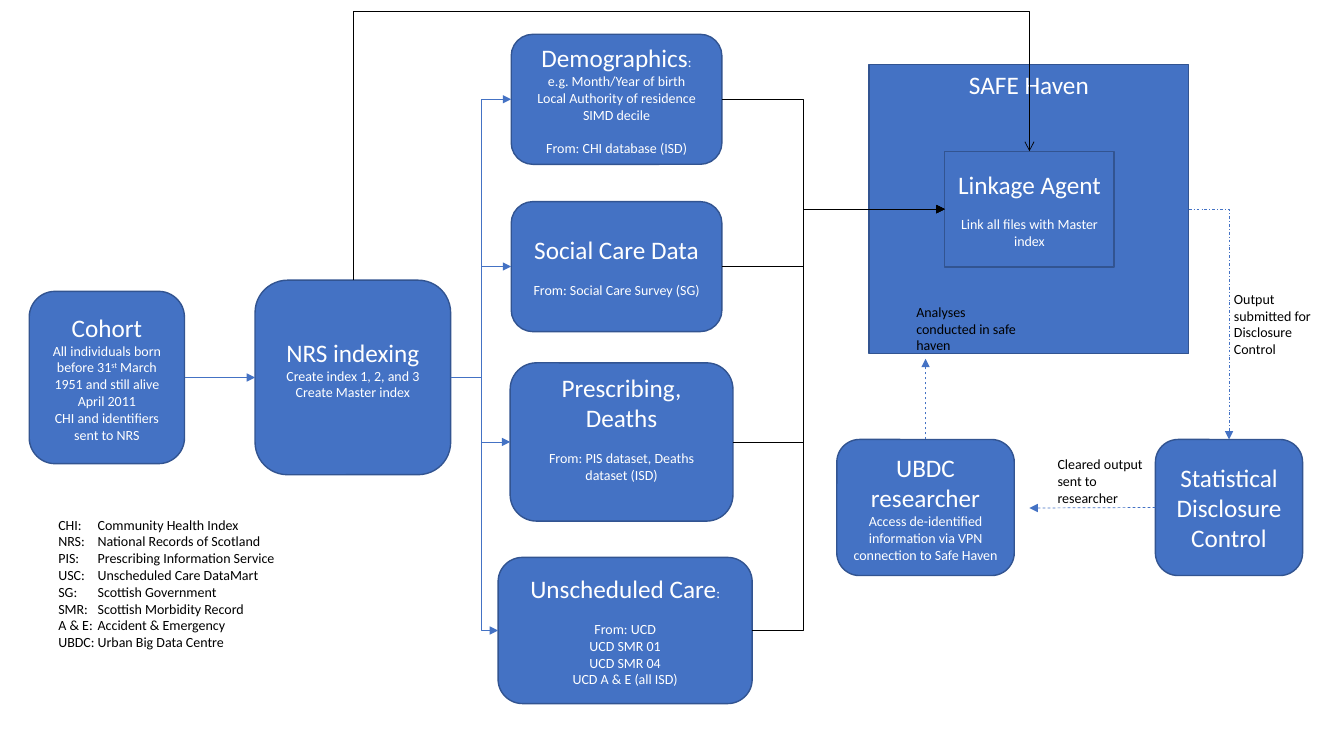
import pptx
import pptx.util
import pptx.dml.color
import pptx.enum.dml
import pptx.enum.shapes
import pptx.enum.text
import pptx.oxml
import pptx.oxml.ns
import lxml.etree

PX = 9144  # EMU per px, 100 px to the inch
FONT = "Calibri"
COLORS = {"box": "4472C4", "edge": "325491", "flow": "4472C4",
          "black": "000000", "white": "FFFFFF"}
TITLE, BODY, GAP = 18, 10, 12
MIDDLE = (5, 5)  # top and bottom text margins

# Content: name, preset, (left, top, width, height), margins, titles, suffix, body
# A body entry is (gap before, text); ^ marks the ends of a superscript.
BOXES = [
    ("cohort", "round", (29, 289, 154, 171), MIDDLE, ["Cohort"], "",
     [(0, "All individuals born before 31^st^ March 1951 and still alive April 2011"),
      (0, "CHI and identifiers sent to NRS")]),
    ("indexing", "round", (253, 278, 194, 193), (5, 22), ["NRS indexing"], "",
     [(0, "Create index 1, 2, and 3"), (0, "Create Master index")]),
    ("demographics", "round", (507, 34, 209, 129), MIDDLE, ["Demographics"], ":",
     [(0, "e.g. Month/Year of birth"), (0, "Local Authority of residence"),
      (0, "SIMD decile"), (GAP, "From: CHI database (ISD)")]),
    ("social", "round", (507, 200, 209, 129), MIDDLE, ["Social Care Data"], "",
     [(GAP, "From: Social Care Survey (SG)")]),
    ("prescribing", "round", (506, 360, 221, 157), (0, 28), ["Prescribing,", "Deaths"], "",
     [(GAP, "From: PIS dataset, Deaths dataset (ISD)")]),
    ("unscheduled", "round", (494, 553, 252, 145), MIDDLE, ["Unscheduled Care"], ":",
     [(GAP, "From: UCD"), (0, "UCD SMR 01"), (0, "UCD SMR 04"),
      (0, "UCD A & E (all ISD)")]),
    ("haven", "top", (862, 64, 317, 287), MIDDLE, ["SAFE Haven"], "", []),
    ("control", "round", (1146, 436, 146, 135), MIDDLE,
     ["Statistical Disclosure Control"], "", []),
    ("researcher", "round", (830, 436, 176, 135), MIDDLE, ["UBDC researcher"], "",
     [(0, "Access de-identified information via VPN connection to Safe Haven")]),
    ("linkage", "rect", (937, 150, 168, 115), MIDDLE, ["Linkage Agent"], "",
     [(GAP, "Link all files with Master index")]),
]
DATASETS = ["demographics", "social", "prescribing", "unscheduled"]
LABELS = [
    ((1214, 283, 105, 77), ["Output submitted for Disclosure Control"]),
    ((1039, 447, 108, 61), ["Cleared output sent to researcher"]),
    ((899, 296, 120, 61), ["Analyses conducted in safe haven"]),
]
LEGEND_AREA, LEGEND_TAB = (48, 507, 348, 145), 39
LEGEND = [
    ("CHI:", "Community Health Index"),
    ("NRS:", "National Records of Scotland"),
    ("PIS:", "Prescribing Information Service"),
    ("USC:", "Unscheduled Care DataMart"),
    ("SG:", "Scottish Government"),
    ("SMR:", "Scottish Morbidity Record"),
    ("A & E:", "Accident & Emergency"),
    ("UBDC:", "Urban Big Data Centre"),
]
SPLIT_X, MERGE_X, OVER_Y = 477, 797, 11

deck = pptx.Presentation()
deck.slide_width, deck.slide_height = 1333 * PX, 750 * PX
page = deck.slides.add_slide(deck.slide_layouts[6])
AREAS = {box[0]: box[2] for box in BOXES}


def emu(lengths):
    return [round(length * PX) for length in lengths]


def rgb(name):
    return pptx.dml.color.RGBColor.from_string(COLORS[name])


def side(name, where):
    """Middle point of one side of a box."""
    left, top, width, height = AREAS[name]
    return {"left": (left, top + height / 2), "right": (left + width, top + height / 2),
            "top": (left + width / 2, top)}[where]


def add_span(para, text, size, color):
    span = para.add_run()
    span.text = text
    span.font.name, span.font.size = FONT, pptx.util.Pt(size)
    span.font.color.rgb = rgb(color)
    return span


def add_box(preset, area, margins, titles, suffix, body):
    kinds = pptx.enum.shapes.MSO_SHAPE
    kind = kinds.ROUNDED_RECTANGLE if preset == "round" else kinds.RECTANGLE
    box = page.shapes.add_shape(kind, *emu(area))
    box.shadow.inherit = False
    box.fill.solid()
    box.fill.fore_color.rgb = rgb("box")
    box.line.color.rgb = rgb("edge")
    box.line.width = pptx.util.Pt(1)
    frame = box.text_frame
    frame.word_wrap = True
    frame.margin_top, frame.margin_bottom = emu(margins)
    anchors = pptx.enum.text.MSO_ANCHOR
    frame.vertical_anchor = anchors.TOP if preset == "top" else anchors.MIDDLE
    rows = [(0, title, TITLE) for title in titles] + [(*row, BODY) for row in body]
    for number, (gap, text, size) in enumerate(rows):
        para = frame.add_paragraph() if number else frame.paragraphs[0]
        para.alignment = pptx.enum.text.PP_ALIGN.CENTER
        para.space_before = pptx.util.Pt(gap)
        for part, piece in enumerate(text.split("^")):
            span = add_span(para, piece, size, "white")
            if part % 2:
                span.font._element.set("baseline", "30000")
        if suffix and number == 0:
            add_span(para, suffix, BODY, "white")


def add_label(area, lines):
    box = page.shapes.add_textbox(*emu(area))
    frame = box.text_frame
    frame.word_wrap = True
    for number, line in enumerate(lines):
        para = frame.add_paragraph() if number else frame.paragraphs[0]
        add_span(para, line, BODY, "black")
    return frame


def add_arrow(start, end, color="flow", dash=None, head="triangle", preset=None, bend=None):
    kinds = pptx.enum.shapes.MSO_CONNECTOR
    arrow = page.shapes.add_connector(kinds.ELBOW if preset else kinds.STRAIGHT,
                                      *emu(start + end))
    arrow.line.color.rgb = rgb(color)
    arrow.line.width = pptx.util.Pt(0.5)
    if dash:
        arrow.line.dash_style = dash
    qn = pptx.oxml.ns.qn
    props = arrow._element.spPr
    lxml.etree.SubElement(props.find(qn("a:ln")), qn("a:tailEnd"), type=head)
    lxml.etree.SubElement(props, qn("a:effectLst"))
    if preset:
        shape = props.find(qn("a:prstGeom"))
        shape.set("prst", preset)
        if bend is not None:
            values = shape.find(qn("a:avLst"))
            if values is None:
                values = lxml.etree.SubElement(shape, qn("a:avLst"))
            lxml.etree.SubElement(values, qn("a:gd"), name="adj1",
                                  fmla=f"val {round(bend * 100000)}")
    return arrow


def add_elbow(start, end, middle_x, color):
    bend = (middle_x - start[0]) / (end[0] - start[0])
    add_arrow(start, end, color, preset="bentConnector3", bend=bend)


def add_overpass(start, end, over_y):
    """Leaves upwards, crosses at over_y and comes down: an elbow turned by 90 degrees."""
    arrow = add_arrow(start, end, "black", head="arrow", preset="bentConnector3",
                      bend=(start[1] - over_y) / (start[1] - end[1]))
    width, height = start[1] - end[1], end[0] - start[0]
    center_x, center_y = (start[0] + end[0]) / 2, (start[1] + end[1]) / 2
    arrow.left, arrow.top, arrow.width, arrow.height = emu(
        (center_x - width / 2, center_y - height / 2, width, height))
    frame = arrow._element.spPr.find(pptx.oxml.ns.qn("a:xfrm"))
    for key, value in (("rot", "5400000"), ("flipH", "1"), ("flipV", "1")):
        frame.set(key, value)


# Boxes
for name, *details in BOXES:
    add_box(*details)

# Flow from the cohort through the datasets to the linkage agent
add_arrow(side("cohort", "right"), side("indexing", "left"))
for dataset in DATASETS:
    add_elbow(side("indexing", "right"), side(dataset, "left"), SPLIT_X, "flow")
    add_elbow(side(dataset, "right"), side("linkage", "left"), MERGE_X, "black")
add_overpass(side("indexing", "top"), side("linkage", "top"), OVER_Y)

# Flow between the safe haven, disclosure control and the researcher
dashes = pptx.enum.dml.MSO_LINE
add_arrow(side("haven", "right"), side("control", "top"),
          dash=dashes.DASH_DOT, preset="bentConnector2")
add_arrow(side("control", "left"), (1021, 504), dash=dashes.DASH)
add_arrow(side("researcher", "top"), (918, 356), dash=dashes.DASH)

# Labels and legend
for area, lines in LABELS:
    add_label(area, lines)
legend = add_label(LEGEND_AREA, ["\t".join(entry) for entry in LEGEND])
for para in legend.paragraphs:
    tabs = lxml.etree.SubElement(para._p.get_or_add_pPr(), pptx.oxml.ns.qn("a:tabLst"))
    lxml.etree.SubElement(tabs, pptx.oxml.ns.qn("a:tab"), pos=str(LEGEND_TAB * PX), algn="l")

deck.save("out.pptx")
